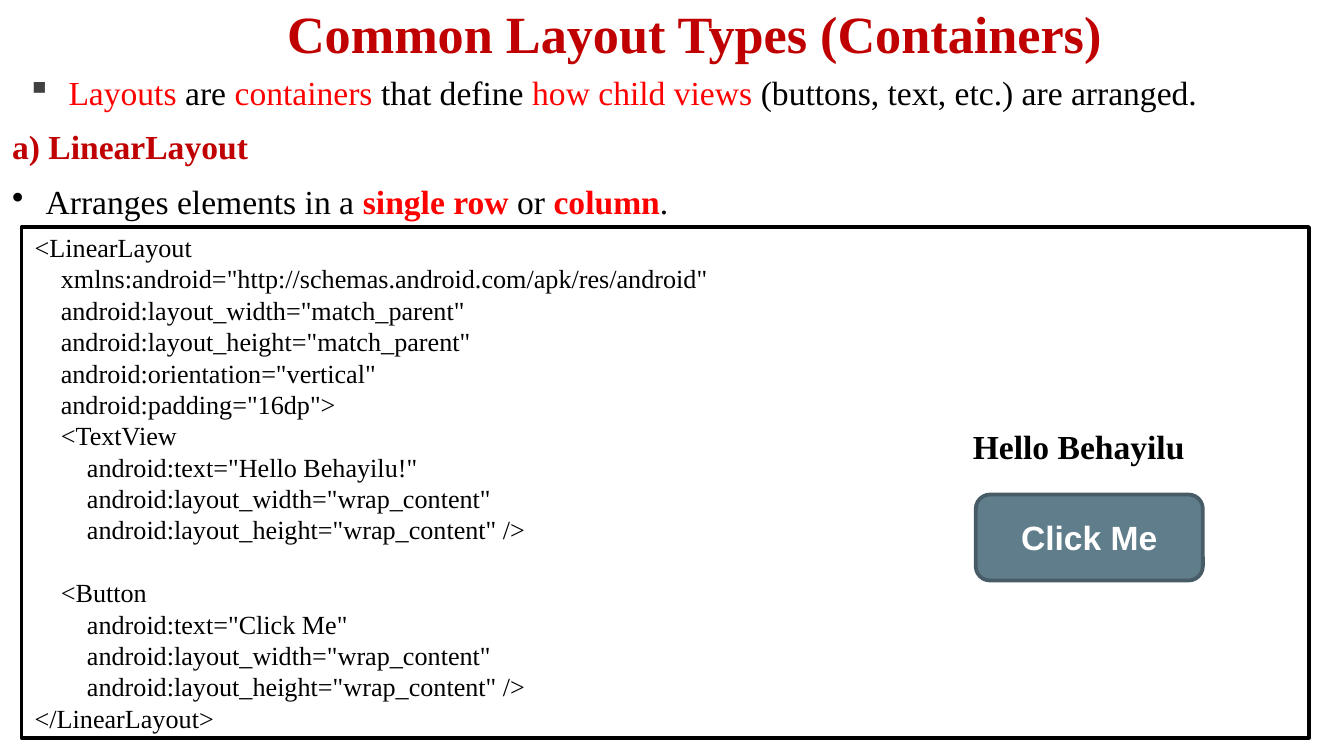
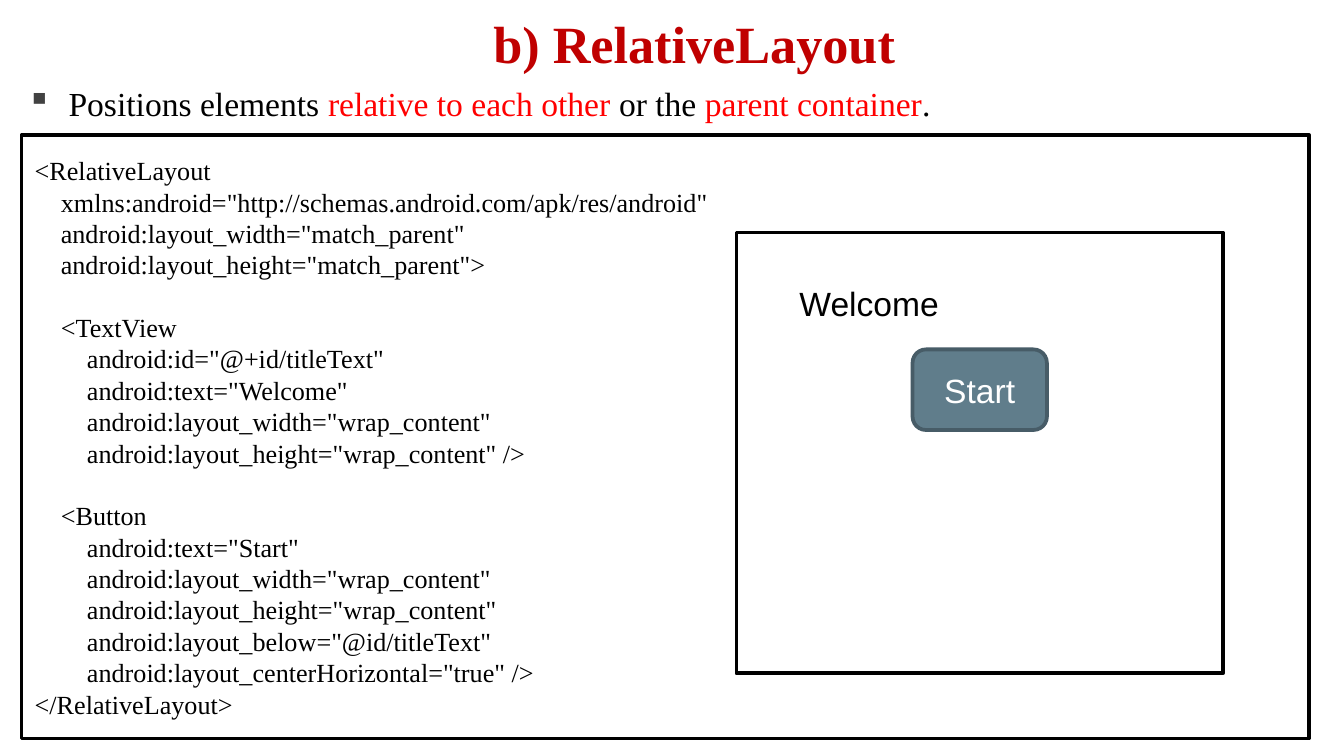
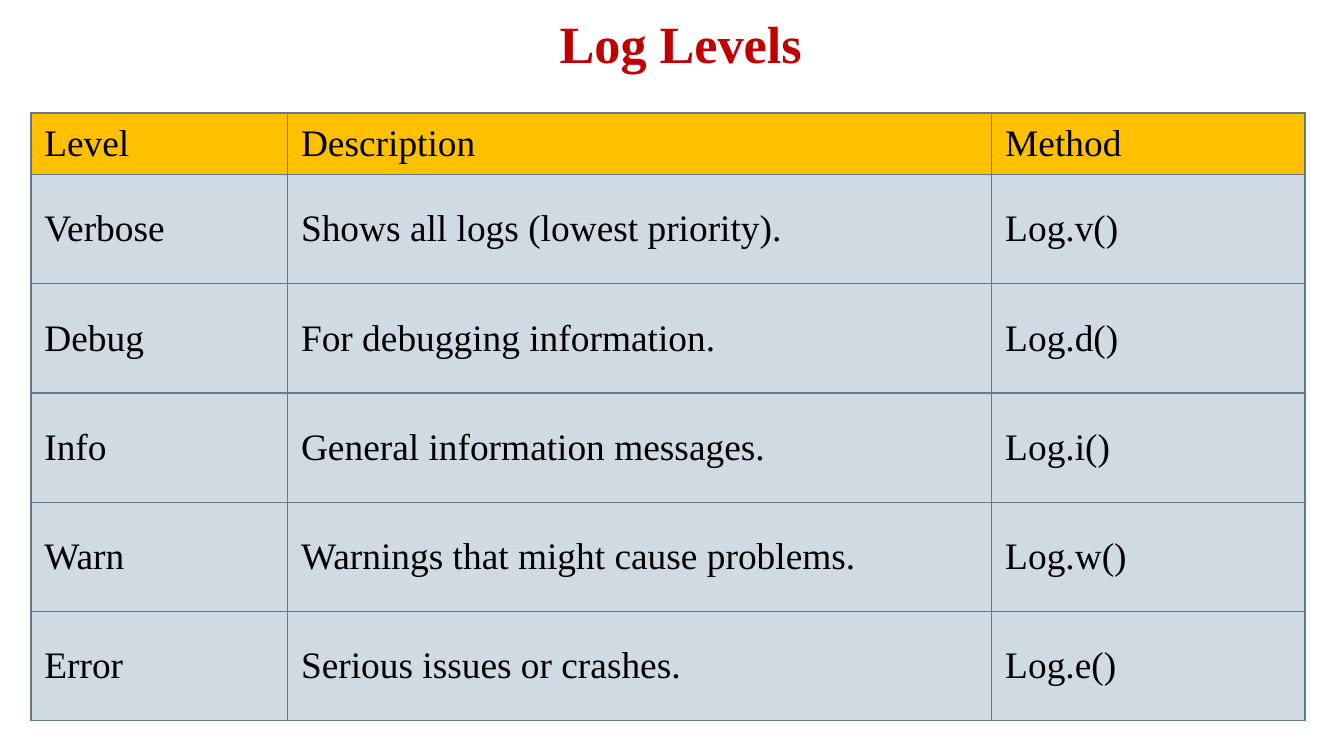
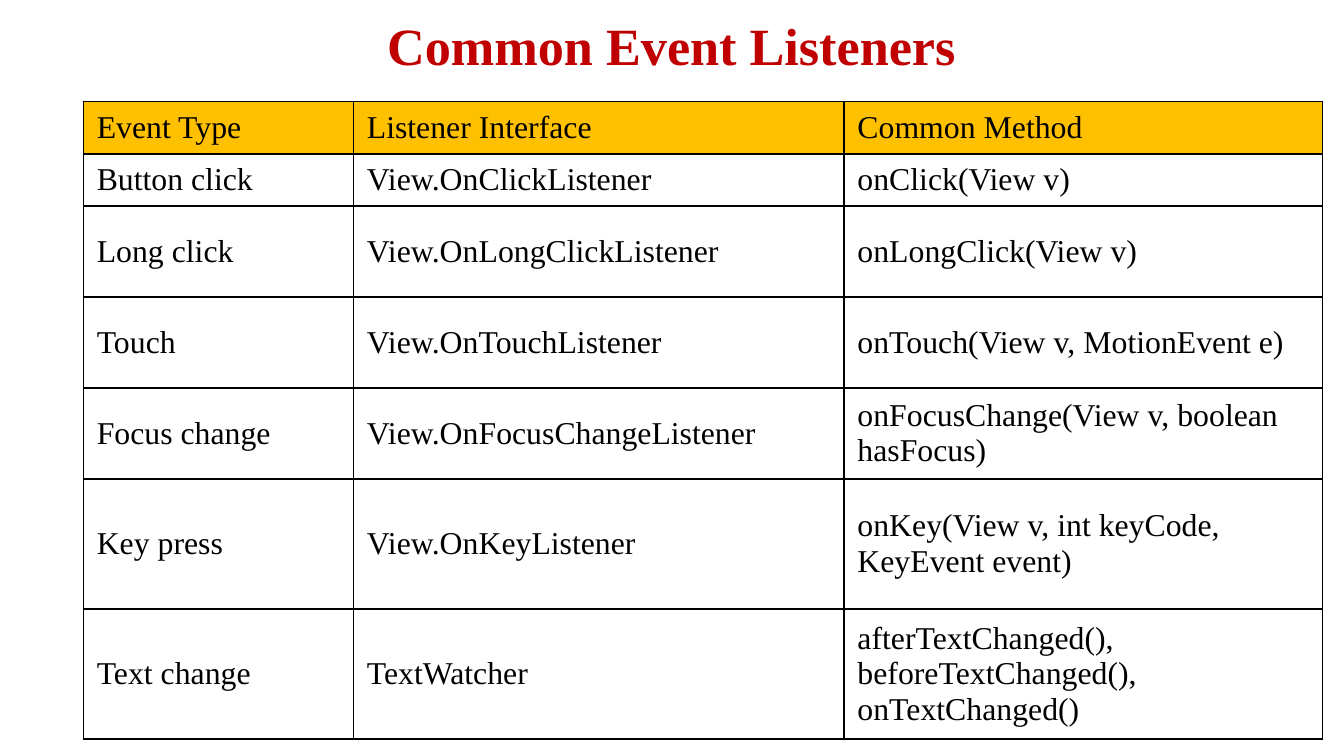
from dataclasses import dataclass

import pptx
import pptx.dml.color
import pptx.enum.shapes
import pptx.enum.text
import pptx.oxml
import pptx.oxml.ns
import pptx.util

Pt = pptx.util.Pt
Anchor = pptx.enum.text.MSO_ANCHOR
Align = pptx.enum.text.PP_ALIGN
Shape = pptx.enum.shapes.MSO_SHAPE


@dataclass(frozen=True)
class Theme:
    serif: str = "Times New Roman"
    sans: str = "Arial"
    title_color: str = "C00000"
    highlight: str = "FF0000"
    black: str = "000000"
    white: str = "FFFFFF"
    bullet: str = "424242"
    button: str = "607D8B"
    button_edge: str = "475C67"
    header_fill: str = "FFC000"
    level_fill: str = "CFDAE2"
    level_edge: str = "5D7B89"
    title_size: float = 28
    body_size: float = 18
    code_size: float = 14
    code_pitch: float = 16.8
    level_size: float = 20
    event_size: float = 17
    outline: float = 2


THEME = Theme()

LINEAR_CODE = """\
<LinearLayout
    xmlns:android="http://schemas.android.com/apk/res/android"
    android:layout_width="match_parent"
    android:layout_height="match_parent"
    android:orientation="vertical"
    android:padding="16dp">
    <TextView
        android:text="Hello Behayilu!"
        android:layout_width="wrap_content"
        android:layout_height="wrap_content" />

    <Button
        android:text="Click Me"
        android:layout_width="wrap_content"
        android:layout_height="wrap_content" />
</LinearLayout>"""

RELATIVE_CODE = """\
<RelativeLayout
    xmlns:android="http://schemas.android.com/apk/res/android"
    android:layout_width="match_parent"
    android:layout_height="match_parent">

    <TextView
        android:id="@+id/titleText"
        android:text="Welcome"
        android:layout_width="wrap_content"
        android:layout_height="wrap_content" />

    <Button
        android:text="Start"
        android:layout_width="wrap_content"
        android:layout_height="wrap_content"
        android:layout_below="@id/titleText"
        android:layout_centerHorizontal="true" />
</RelativeLayout>"""

LOG_LEVELS = [
    ("Level", "Description", "Method"),
    ("Verbose", "Shows all logs (lowest priority).", "Log.v()"),
    ("Debug", "For debugging information.", "Log.d()"),
    ("Info", "General information messages.", "Log.i()"),
    ("Warn", "Warnings that might cause problems.", "Log.w()"),
    ("Error", "Serious issues or crashes.", "Log.e()"),
]

EVENT_LISTENERS = [
    ("Event Type", "Listener Interface", "Common Method"),
    ("Button click", "View.OnClickListener", "onClick(View v)"),
    ("Long click", "View.OnLongClickListener", "onLongClick(View v)"),
    ("Touch", "View.OnTouchListener", "onTouch(View v, MotionEvent e)"),
    ("Focus change", "View.OnFocusChangeListener", "onFocusChange(View v, boolean hasFocus)"),
    ("Key press", "View.OnKeyListener", "onKey(View v, int keyCode, KeyEvent event)"),
    ("Text change", "TextWatcher", "afterTextChanged(), beforeTextChanged(), onTextChanged()"),
]


# Shared formatting
def rgb(color):
    return pptx.dml.color.RGBColor.from_string(color)


def points(*values):
    return [Pt(value) for value in values]


def set_font(font, size, color=THEME.black, name=THEME.serif, bold=False):
    font.size = Pt(size)
    font.name = name
    font.bold = bold
    font.color.rgb = rgb(color)


def clear_margins(frame):
    frame.margin_left = frame.margin_right = frame.margin_top = frame.margin_bottom = 0


def add_xml(parent, markup):
    namespaces = pptx.oxml.ns.nsdecls("a")
    parent.append(pptx.oxml.parse_xml(markup.replace(">", f" {namespaces}>", 1)))


# Titles and running text
def add_title_slide(presentation, text, left, top, height=31.68):
    slide = presentation.slides.add_slide(presentation.slide_layouts[5])
    title = slide.shapes.title
    title.left, title.top, title.width, title.height = points(left, top, 696.24, height)
    frame = title.text_frame
    frame.auto_size = pptx.enum.text.MSO_AUTO_SIZE.NONE
    frame.vertical_anchor = Anchor.MIDDLE
    clear_margins(frame)
    paragraph = frame.paragraphs[0]
    paragraph.text = text
    paragraph.alignment = Align.CENTER
    paragraph.line_spacing = 0.9
    set_font(paragraph.font, THEME.title_size, THEME.title_color, bold=True)
    return slide


def add_bullet(paragraph, character, color, left, hanging):
    properties = paragraph._p.get_or_add_pPr()
    properties.set("marL", str(Pt(left)))
    properties.set("indent", str(-Pt(hanging)))
    add_xml(properties, f'<a:buClr><a:srgbClr val="{color}"/></a:buClr>')
    add_xml(properties, f'<a:buChar char="{character}"></a:buChar>')


def add_runs(paragraph, runs, line_spacing):
    """Each run is (text, color, bold)."""
    paragraph.line_spacing = line_spacing
    for text, color, bold in runs:
        run = paragraph.add_run()
        run.text = text
        set_font(run.font, THEME.body_size, color, bold=bold)


def add_body(slide, top, height, intro):
    frame = slide.shapes.add_textbox(*points(6.48, top, 701.28, height)).text_frame
    frame.word_wrap = True
    clear_margins(frame)
    paragraph = frame.paragraphs[0]
    add_bullet(paragraph, "▪", THEME.bullet, 30.24, 22.32)
    add_runs(paragraph, intro, 1.15)
    return frame


def add_label(slide, text, box, name=THEME.serif, bold=False):
    frame = slide.shapes.add_textbox(*points(*box)).text_frame
    frame.word_wrap = False
    frame.auto_size = pptx.enum.text.MSO_AUTO_SIZE.SHAPE_TO_FIT_TEXT
    paragraph = frame.paragraphs[0]
    paragraph.text = text
    set_font(paragraph.font, THEME.body_size, name=name, bold=bold)


# Boxes
def add_box(slide, box, kind=Shape.RECTANGLE, fill=THEME.white, edge=THEME.black):
    shape = slide.shapes.add_shape(kind, *points(*box))
    shape.shadow.inherit = False
    shape.fill.solid()
    shape.fill.fore_color.rgb = rgb(fill)
    shape.line.color.rgb = rgb(edge)
    shape.line.width = Pt(THEME.outline)
    shape.text_frame.vertical_anchor = Anchor.MIDDLE
    return shape


def add_code(slide, code, top, height):
    frame = add_box(slide, (11.52, top, 689.76, height)).text_frame
    paragraph, gap = frame.paragraphs[0], 0
    for number, line in enumerate(code.split("\n")):
        if not line:
            gap = THEME.code_pitch
            continue
        if number:
            paragraph = frame.add_paragraph()
        paragraph.text = line
        paragraph.alignment = Align.LEFT
        paragraph.line_spacing = Pt(THEME.code_pitch)
        if gap:
            paragraph.space_before = Pt(gap)
        set_font(paragraph.font, THEME.code_size)
        gap = 0


def add_button(slide, text, box, bold=False):
    shape = add_box(slide, box, Shape.ROUNDED_RECTANGLE, THEME.button, THEME.button_edge)
    paragraph = shape.text_frame.paragraphs[0]
    paragraph.text = text
    paragraph.alignment = Align.CENTER
    set_font(paragraph.font, THEME.body_size, THEME.white, THEME.sans, bold)


# Tables
def set_borders(cell, color, width):
    properties = cell._tc.get_or_add_tcPr()
    for position, side in enumerate(("lnL", "lnR", "lnT", "lnB")):
        line = pptx.oxml.parse_xml(
            f'<a:{side} {pptx.oxml.ns.nsdecls("a")} w="{Pt(width)}"><a:solidFill>'
            f'<a:srgbClr val="{color}"/></a:solidFill></a:{side}>')
        properties.insert(position, line)


def add_grid(slide, rows, left, top, widths, heights, size, fill, edge, edge_width):
    table = slide.shapes.add_table(
        len(rows), len(widths), *points(left, top, sum(widths), sum(heights))).table
    for column, width in zip(table.columns, widths):
        column.width = Pt(width)
    for row_number, (values, height) in enumerate(zip(rows, heights)):
        table.rows[row_number].height = Pt(height)
        for column_number, value in enumerate(values):
            cell = table.cell(row_number, column_number)
            cell.vertical_anchor = Anchor.MIDDLE
            cell.fill.solid()
            cell.fill.fore_color.rgb = rgb(fill if row_number else THEME.header_fill)
            set_borders(cell, edge, edge_width)
            paragraph = cell.text_frame.paragraphs[0]
            paragraph.text = value
            set_font(paragraph.font, size)


# Slides
def add_linear_layout(presentation):
    slide = add_title_slide(presentation, "Common Layout Types (Containers)", 23.76, 3.6)
    frame = add_body(slide, 35.28, 360, [
        ("Layouts", THEME.highlight, False),
        (" are ", THEME.black, False),
        ("containers ", THEME.highlight, False),
        ("that define ", THEME.black, False),
        ("how child views ", THEME.highlight, False),
        ("(buttons, text, etc.) are arranged.", THEME.black, False),
    ])
    heading = frame.add_paragraph()
    heading.space_before = Pt(10)
    add_runs(heading, [("a) LinearLayout", THEME.title_color, True)], 0.9)
    point = frame.add_paragraph()
    add_bullet(point, "•", THEME.black, 18, 18)
    point.space_before = Pt(10)
    add_runs(point, [
        ("Arranges elements in a ", THEME.black, False),
        ("single row ", THEME.highlight, True),
        ("or ", THEME.black, False),
        ("column", THEME.highlight, True),
        (".", THEME.black, False),
    ], 0.9)
    add_code(slide, LINEAR_CODE, 121.68, 273.6)
    add_label(slide, "Hello Behayilu", (514.08, 224.64, 128.88, 28.8), bold=True)
    add_button(slide, "Click Me", (522.72, 264.96, 121.68, 46.08), bold=True)


def add_relative_layout(presentation):
    slide = add_title_slide(presentation, "b) RelativeLayout", 23.76, 9.36)
    add_body(slide, 41.04, 354.24, [
        ("Positions elements ", THEME.black, False),
        ("relative to each other ", THEME.highlight, False),
        ("or the ", THEME.black, False),
        ("parent container", THEME.highlight, False),
        (".", THEME.black, False),
    ])
    add_code(slide, RELATIVE_CODE, 72.4, 323.28)
    add_box(slide, (394.56, 124.56, 260.64, 236.16))
    add_label(slide, "Welcome", (421.2, 148.32, 90, 28.8), THEME.sans)
    add_button(slide, "Start", (488.88, 187.2, 72, 43.2))


def add_log_levels(presentation):
    slide = add_title_slide(presentation, "Log Levels", 16.56, 9.36)
    add_grid(slide, LOG_LEVELS, 16.56, 60.48, (137.52, 377.28, 167.76),
             [33.12] + [58.5] * 5, THEME.level_size, THEME.level_fill, THEME.level_edge, 0.75)


def add_event_listeners(presentation):
    slide = add_title_slide(presentation, "Common Event Listeners", 11.52, 9.36, 33.84)
    add_grid(slide, EVENT_LISTENERS, 44.64, 54.4, (144.72, 262.8, 256.32),
             [28] * 2 + [48.75] * 3 + [69.75] * 2, THEME.event_size, THEME.white, THEME.black, 1)


def main():
    presentation = pptx.Presentation()
    presentation.slide_width, presentation.slide_height = points(720, 405)
    add_linear_layout(presentation)
    add_relative_layout(presentation)
    add_log_levels(presentation)
    add_event_listeners(presentation)
    presentation.save("out.pptx")


if __name__ == "__main__":
    main()
